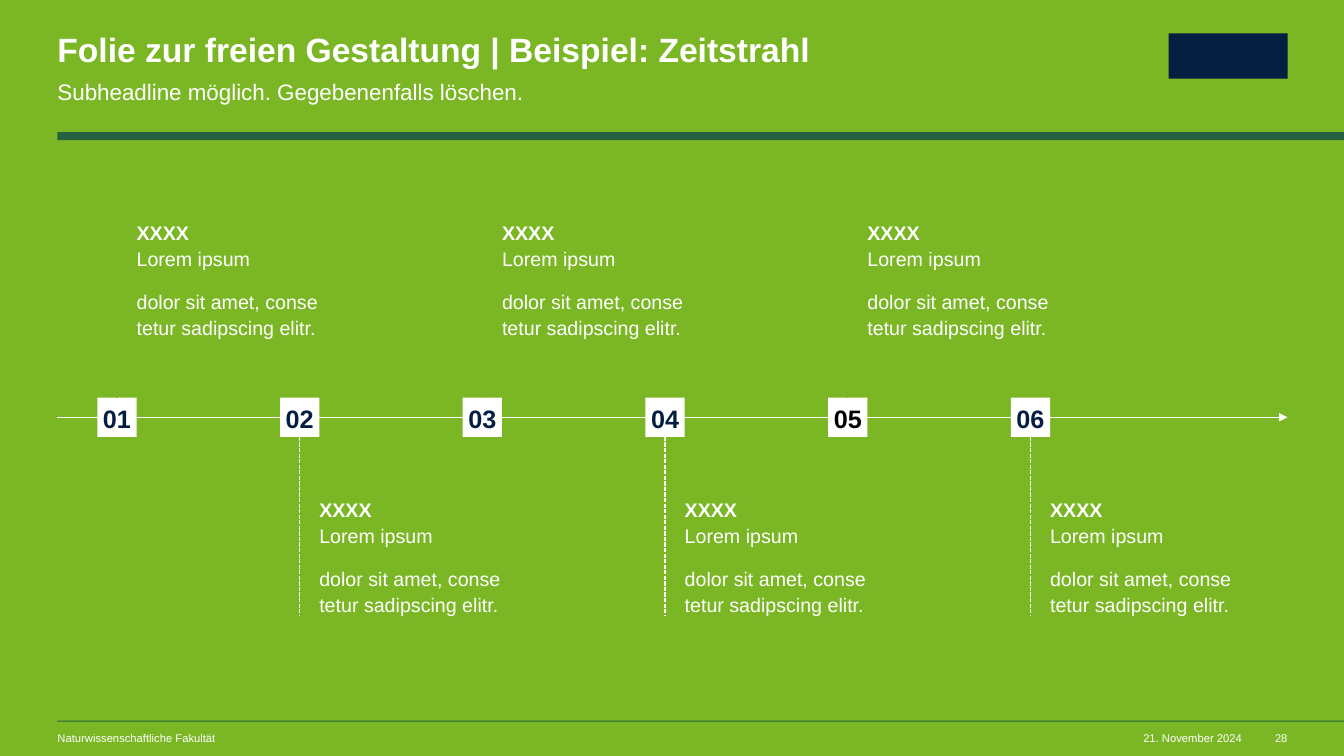
"""Build a timeline slide with six numbered milestones."""
from lxml import etree
from pptx import Presentation
from pptx.dml.color import RGBColor
from pptx.enum.dml import MSO_LINE
from pptx.enum.shapes import MSO_CONNECTOR, MSO_SHAPE
from pptx.enum.text import MSO_ANCHOR, MSO_AUTO_SIZE, PP_ALIGN
from pptx.oxml.ns import qn
from pptx.util import Inches, Pt

RECTANGLE = MSO_SHAPE.RECTANGLE
STRAIGHT = MSO_CONNECTOR.STRAIGHT
DASH = MSO_LINE.SQUARE_DOT
LEFT, CENTER, RIGHT = PP_ALIGN.LEFT, PP_ALIGN.CENTER, PP_ALIGN.RIGHT
TOP, MIDDLE = MSO_ANCHOR.TOP, MSO_ANCHOR.MIDDLE
NO_AUTOFIT = MSO_AUTO_SIZE.NONE

COLORS = {
    "background": "7BB725",
    "bar": "266141",
    "navy": "041E42",
    "white": "FFFFFF",
    "black": "000000",
}
FONT = "Arial"
MARGIN = 0.57
RIGHT_EDGE = 12.77
AXIS_Y = 4.14
MARKER_SIZE = 0.39
FIRST_CENTER = 1.16
LAST_CENTER = 10.22
STEM_LENGTH = 1.77
MILESTONE_COUNT = 6
MILESTONE_TEXT = [
    "XXXX\nLorem ipsum",
    "dolor sit amet, conse\ntetur sadipscing elitr.",
]


def write(box, paragraphs, size, color="white", bold=False, bold_first=False,
          align=LEFT, anchor=TOP, spacing=1.0, after=0, wrap=True, inset_right=0):
    """Fill a box with paragraphs whose lines are split at newlines."""
    frame = box.text_frame
    frame.auto_size = NO_AUTOFIT
    frame.word_wrap = wrap
    frame.vertical_anchor = anchor
    frame.margin_left = frame.margin_top = frame.margin_bottom = 0
    frame.margin_right = Inches(inset_right)
    for index, text in enumerate(paragraphs):
        para = frame.add_paragraph() if index else frame.paragraphs[0]
        para.alignment = align
        para.line_spacing = spacing
        para.space_before = Pt(0)
        para.space_after = Pt(after)
        for number, line in enumerate(text.split("\n")):
            if number:
                para.add_line_break()
            span = para.add_run()
            span.text = line
            span.font.name = FONT
            span.font.size = Pt(size)
            span.font.bold = bold or (bold_first and index == number == 0)
            span.font.color.rgb = RGBColor.from_string(COLORS[color])


def draw_line(start, end, color):
    """Draw a thin straight connector without a shadow."""
    points = [Inches(value) for value in (*start, *end)]
    line = page.shapes.add_connector(STRAIGHT, *points)
    line.line.color.rgb = RGBColor.from_string(COLORS[color])
    line.line.width = Pt(1)
    etree.SubElement(line._element.spPr, qn("a:effectLst"))
    return line


deck = Presentation()
deck.slide_width = Inches(13.33)
deck.slide_height = Inches(7.5)
page = deck.slides.add_slide(deck.slide_layouts[1])
page.background.fill.solid()
page.background.fill.fore_color.rgb = RGBColor.from_string(COLORS["background"])

centers = [
    FIRST_CENTER + index * (LAST_CENTER - FIRST_CENTER) / (MILESTONE_COUNT - 1)
    for index in range(MILESTONE_COUNT)
]
half = MARKER_SIZE / 2

axis = draw_line((MARGIN, AXIS_Y), (RIGHT_EDGE, AXIS_Y), "white")
etree.SubElement(axis.line._get_or_add_ln(), qn("a:tailEnd"), type="triangle")

blocks = [
    (MARGIN, 7.15, 12.76, 0.01, "bar"),
    (MARGIN, 1.31, 12.76, 0.08, "bar"),
    (11.59, 0.33, 1.18, 0.45, "navy"),
]
blocks += [
    (center - half, AXIS_Y - half, MARKER_SIZE, MARKER_SIZE, "white")
    for center in centers
]
shapes = []
for left, top, width, height, color in blocks:
    shape = page.shapes.add_shape(
        RECTANGLE, Inches(left), Inches(top), Inches(width), Inches(height))
    shape.shadow.inherit = False
    shape.fill.solid()
    shape.fill.fore_color.rgb = RGBColor.from_string(COLORS[color])
    shape.line.fill.background()
    shapes.append(shape)
markers = shapes[-MILESTONE_COUNT:]

title = page.shapes.title
title.left, title.top = Inches(MARGIN), Inches(0.33)
title.width, title.height = Inches(7.49), Inches(0.36)
write(title, ["Folie zur freien Gestaltung | Beispiel: Zeitstrahl"], 24,
      bold=True, spacing=0.9)

subtitle = page.placeholders[1]
subtitle.left, subtitle.top = Inches(MARGIN), Inches(0.75)
subtitle.width, subtitle.height = Inches(7.49), Inches(0.27)
write(subtitle, ["Subheadline möglich. Gegebenenfalls löschen."], 16,
      spacing=1.1, after=12, inset_right=0.39)
properties = subtitle.text_frame.paragraphs[0]._p.get_or_add_pPr()
properties.set("marL", "0")
properties.set("indent", "0")
etree.SubElement(properties, qn("a:buNone"))

footers = [
    ("Naturwissenschaftliche Fakultät", MARGIN, 5.98, LEFT, True),
    ("21. November 2024", 11.67, 0.65, RIGHT, False),
    ("28", 12.64, 0.13, RIGHT, False),
]
for text, left, width, align, wrap in footers:
    if not wrap:
        left, width = left + width - 1, 1
    box = page.shapes.add_textbox(
        Inches(left), Inches(7.26), Inches(width), Inches(0.13))
    write(box, [text], 8, align=align, wrap=wrap)

for number, (center, marker) in enumerate(zip(centers, markers), start=1):
    above = number % 2 == 1
    write(marker, [f"{number:02d}"], 18, color="black" if number == 5 else "navy",
          bold=True, align=CENTER, anchor=MIDDLE, spacing=1.1, after=12)
    box = page.shapes.add_textbox(
        Inches(center + half), Inches(2.17 if above else 4.92),
        Inches(1.95), Inches(1.18))
    write(box, MILESTONE_TEXT, 14, bold_first=True, spacing=1.1, after=12)
    stem_top = AXIS_Y - half - STEM_LENGTH if above else AXIS_Y + half
    stem = draw_line((center, stem_top), (center, stem_top + STEM_LENGTH),
                     "background" if above else "white")
    stem.line.dash_style = DASH

deck.save("out.pptx")
